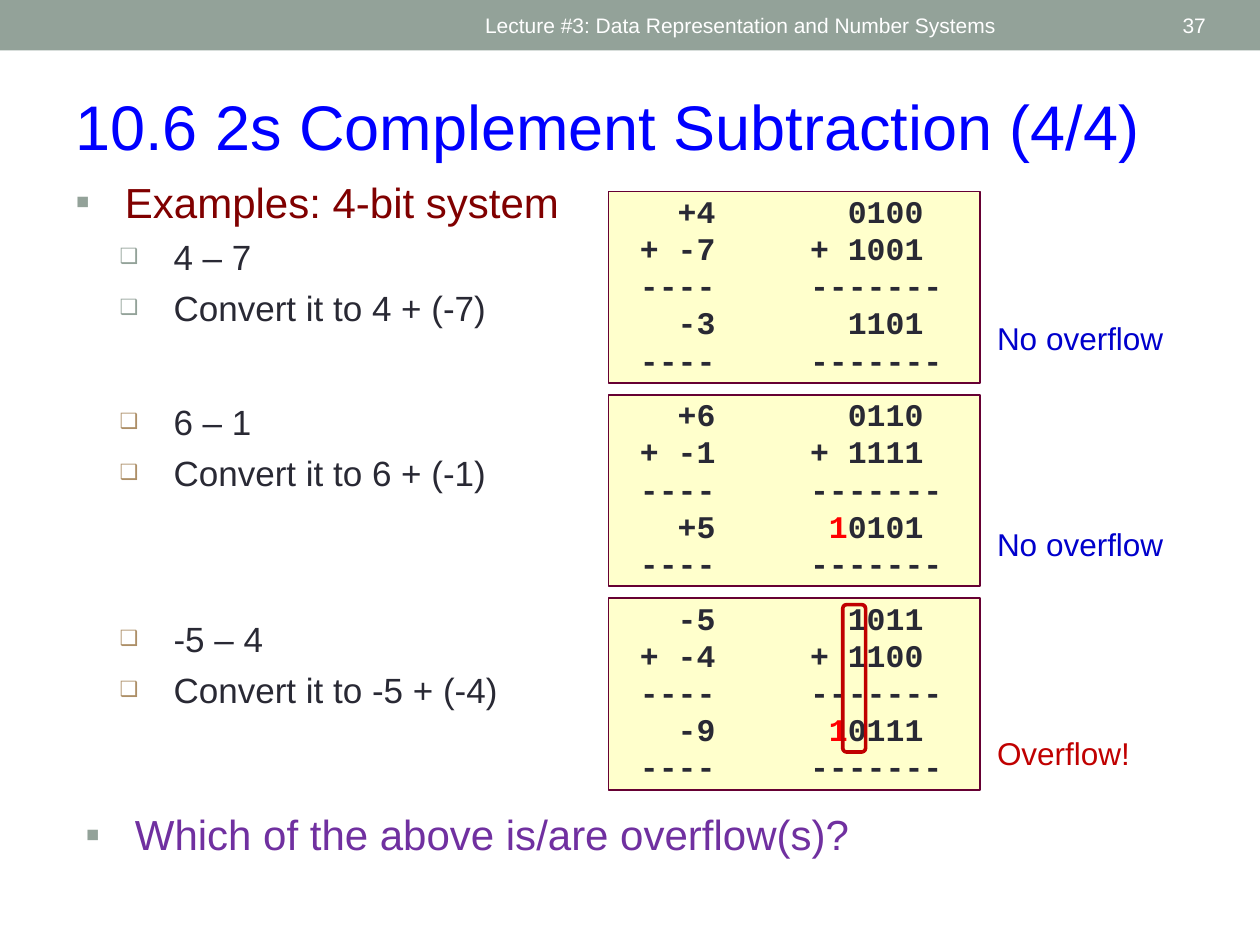
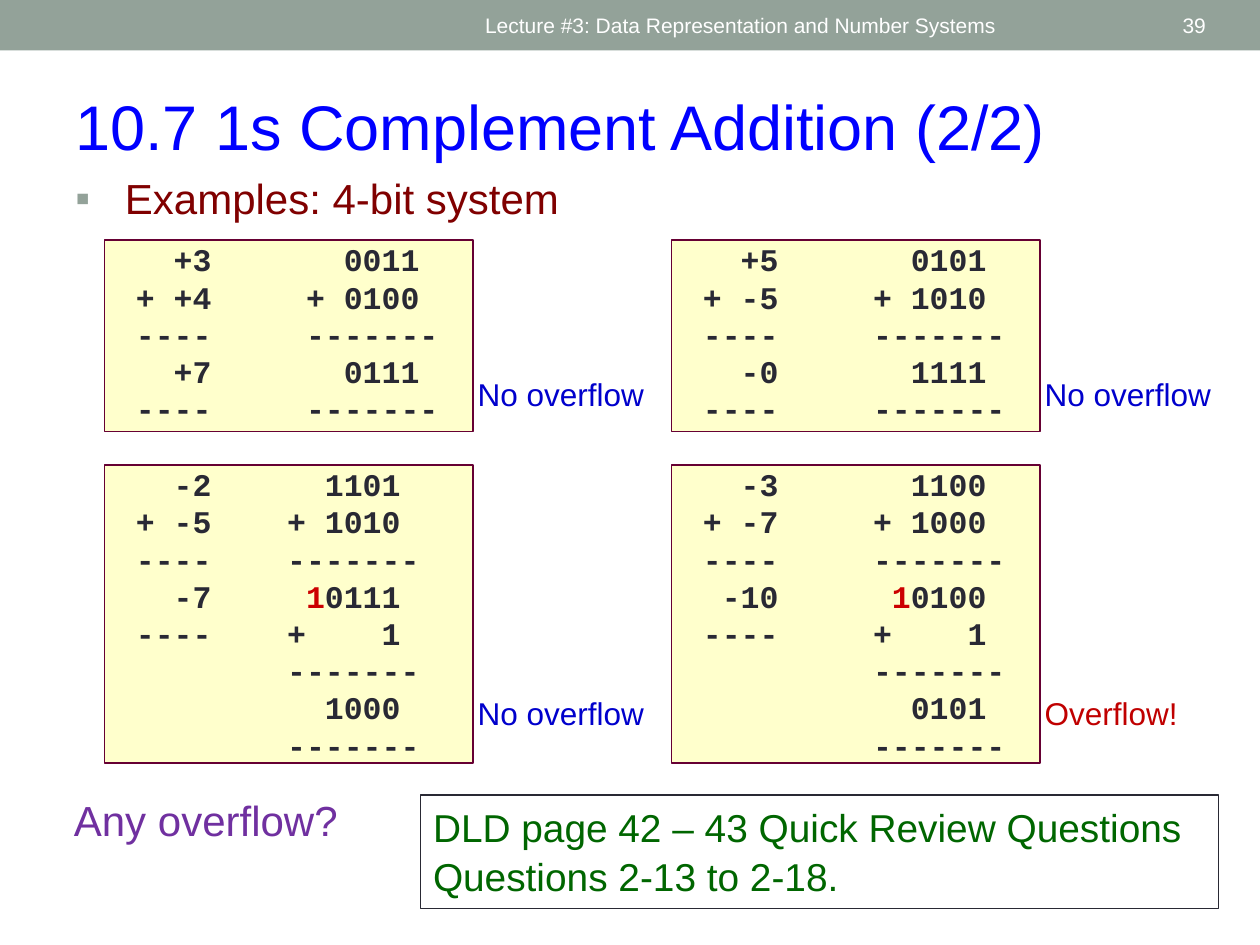
from pptx import Presentation
from pptx.dml.color import RGBColor as Rgb
from pptx.enum.shapes import MSO_SHAPE as Kind
from pptx.enum.text import MSO_ANCHOR as Anchor, PP_ALIGN as Align
from pptx.oxml.ns import qn
from pptx.util import Cm, Pt
from lxml.etree import SubElement as Sub

INK = {
    "band": "93A299", "white": "FFFFFF", "title": "0000FF", "head": "800000",
    "text": "292934", "tan": "AD8F67", "cream": "FFFFCC", "edge": "660033",
    "ask": "7030A0", "good": "0000CC", "bad": "C00000", "note": "006600",
    "red": "FF0000", "rust": "CC0000",
}
CHAR = 0.381
RULE = "-------"


def tint(name):
    return Rgb.from_string(INK[name])


def style(para, size, ink, face="Arial", bold=False):
    font = para.font
    font.size, font.name, font.bold = Pt(size), face, bold
    font.color.rgb = tint(ink)


def frame(shape, anchor=Anchor.TOP):
    text = shape.text_frame
    text.word_wrap = True
    text.vertical_anchor = anchor
    return text


def panel(slide, box, fill=None, edge=None, width=1, kind=Kind.RECTANGLE):
    shape = slide.shapes.add_shape(kind, *map(Cm, box))
    shape.shadow.inherit = False
    if fill:
        shape.fill.solid()
        shape.fill.fore_color.rgb = tint(fill)
    else:
        shape.fill.background()
    if edge:
        shape.line.color.rgb = tint(edge)
        shape.line.width = Pt(width)
    else:
        shape.line.fill.background()
    return shape


def label(slide, box, words, size, ink, anchor=Anchor.TOP, align=Align.LEFT):
    para = frame(slide.shapes.add_textbox(*map(Cm, box)), anchor).paragraphs[0]
    para.text = words
    para.alignment = align
    style(para, size, ink)


def bullet(para, words, size, ink, mark, left, hang, dot, scale=100):
    para.text = words
    para.alignment = Align.LEFT
    props = para._p.get_or_add_pPr()
    props.set("marL", str(Cm(left)))
    props.set("indent", str(-Cm(hang)))
    Sub(Sub(props, qn("a:buClr")), qn("a:srgbClr")).set("val", INK[dot])
    Sub(props, qn("a:buSzPct")).set("val", str(scale * 1000))
    Sub(props, qn("a:buFont")).set("typeface", "Arial")
    Sub(props, qn("a:buChar")).set("char", mark)
    para.space_before = Pt(size / 5)
    style(para, size, ink)


def head(para, words, ink="head"):
    bullet(para, words, 24, ink, "▪", 1, 1, "band")


def outline(slide, box, items, top=None, dot="tan"):
    text = frame(slide.shapes.add_textbox(*map(Cm, box)))
    para = text.paragraphs[0]
    if top:
        head(para, top)
    for index, item in enumerate(items):
        if top or index:
            para = text.add_paragraph()
        bullet(para, item, 20, "text", "❑", 1.98, 1.09, dot, 60)
        para.space_before = Pt(5)


def tabs(para, stops):
    group = Sub(para._p.get_or_add_pPr(), qn("a:tabLst"))
    for column, side in stops:
        tab = Sub(group, qn("a:tab"))
        tab.set("pos", str(Cm(column * CHAR)))
        tab.set("algn", side)


def working(slide, box, nums, bits, hot, col=10):
    first, second, total = nums.split()
    upper, lower, answer, *wrapped = bits.split()
    rows = [
        (first, "", upper), ("+ " + second, "+ " + lower, ""),
        ("----", RULE, ""), (total, "", answer),
    ]
    if wrapped:
        rows += [("----", "+", "1"), ("", RULE, ""),
                 ("", "", wrapped[0]), ("", RULE, "")]
    else:
        rows.append(("----", RULE, ""))
    text = frame(panel(slide, box, "cream", "edge"))
    for index, (left, mid, right) in enumerate(rows):
        para = text.add_paragraph() if index else text.paragraphs[0]
        para.alignment = Align.LEFT
        tabs(para, [(5, "r"), (col, "l"), (col + 6, "r")])
        para.line_spacing = 0.85
        para.space_before = Pt(2.9)
        style(para, 18, "text", "Courier New", True)
        lead = f"\t{left}\t{mid}" + ("\t" if right else "")
        para.add_run().text = lead
        if len(right) == 5:
            carry = para.add_run()
            carry.text = right[0]
            carry.font.color.rgb = tint(hot)
            right = right[1:]
        if right:
            para.add_run().text = right


def verdict(slide, x, y, good=True):
    words, ink = ("No overflow", "good") if good else ("Overflow!", "bad")
    label(slide, (x, y, 4.29, 1.02), words, 18, ink)


def base(deck, title, number):
    slide = deck.slides.add_slide(deck.slide_layouts[6])
    panel(slide, (0, 0, 25.4, 1.02), "band")
    label(slide, (9.53, 0.05, 11.43, 0.91),
          "Lecture #3: Data Representation and Number Systems",
          12, "white", Anchor.MIDDLE)
    label(slide, (22.15, 0.05, 2.41, 0.91), number, 12, "white",
          Anchor.MIDDLE, Align.RIGHT)
    label(slide, (1.27, 1.63, 22.86, 1.8), title, 36, "title")
    return slide


def minus(deck):
    slide = base(deck, "10.6 2s Complement Subtraction (4/4)", "37")
    outline(slide, (1.27, 3.43, 12.07, 3.35), ["4 – 7", "Convert it to 4 + (-7)"],
            "Examples: 4-bit system", "band")
    outline(slide, (1.27, 7.95, 10.36, 2.31), ["6 – 1", "Convert it to 6 + (-1)"])
    outline(slide, (1.27, 12.32, 10.36, 2.31), ["-5 – 4", "Convert it to -5 + (-4)"])
    cases = [
        ("+4 -7 -3", "0100 1001 1101", 6.3, True),
        ("+6 -1 +5", "0110 1111 10101", 10.46, True),
        ("-5 -4 -9", "1011 1100 10111", 14.68, False),
    ]
    for index, (nums, bits, y, good) in enumerate(cases):
        box = (12.27, 3.86 + 4.1 * index, 7.49, 3.86)
        working(slide, box, nums, bits, "red")
        verdict(slide, 19.85, y, good)
    x, y = box[:2]
    panel(slide, (x + 4.72, y + 0.13, 0.46, 2.97), None, "bad", 2.08,
          Kind.ROUNDED_RECTANGLE)
    ask = frame(panel(slide, (1.47, 16.18, 22.86, 1.9), "white"))
    head(ask.paragraphs[0], "Which of the above is/are overflow(s)?", "ask")


def plus(deck):
    slide = base(deck, "10.7 1s Complement Addition (2/2)", "39")
    outline(slide, (1.27, 3.35, 22.86, 1.47), [], "Examples: 4-bit system")
    cases = [
        ("+3 +4 +7", "0011 0100 0111", 10, True),
        ("+5 -5 -0", "0101 1010 1111", 10, True),
        ("-2 -5 -7", "1101 1010 10111 1000", 9, True),
        ("-3 -7 -10", "1100 1000 10100 0101", 10, False),
    ]
    rows = [(4.84, 3.86, 7.44), (9.37, 6.02, 13.87)]
    for index, (nums, bits, col, good) in enumerate(cases):
        row, side = divmod(index, 2)
        y, height, mark = rows[row]
        x = 2.11 + 11.43 * side
        working(slide, (x, y, 7.42, height), nums, bits, "rust", col)
        verdict(slide, x + 7.27, mark, good)
    label(slide, (1.24, 15.9, 6.73, 1.3), "Any overflow?", 24, "ask")
    note = frame(panel(slide, (8.48, 16.03, 16.08, 2.29), None, "text", 0.75))
    para = note.paragraphs[0]
    para.text = "DLD page 42 – 43 Quick Review Questions\vQuestions 2-13 to 2-18."
    para.alignment = Align.LEFT
    para.line_spacing = 1.05
    style(para, 22.2, "note")


def main():
    deck = Presentation()
    deck.slide_width, deck.slide_height = Cm(25.4), Cm(19.05)
    minus(deck)
    plus(deck)
    deck.save("out.pptx")


if __name__ == "__main__":
    main()
